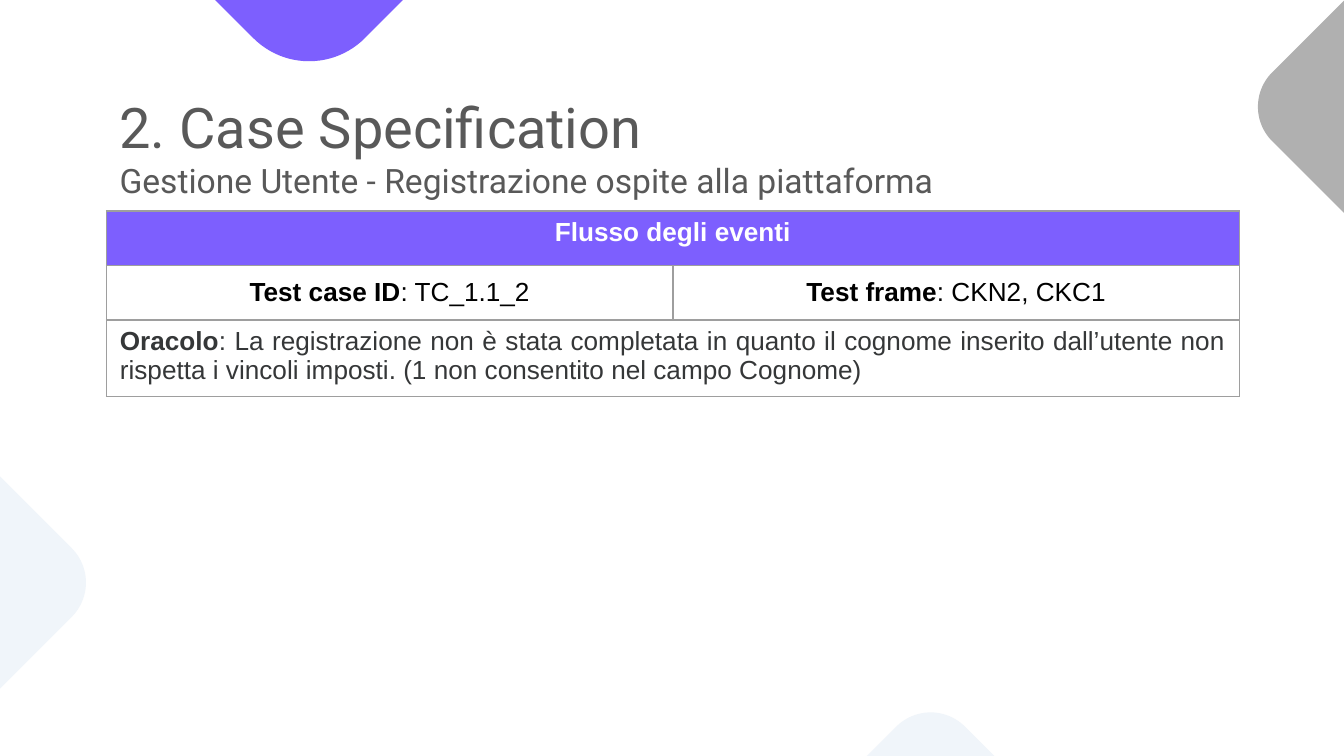
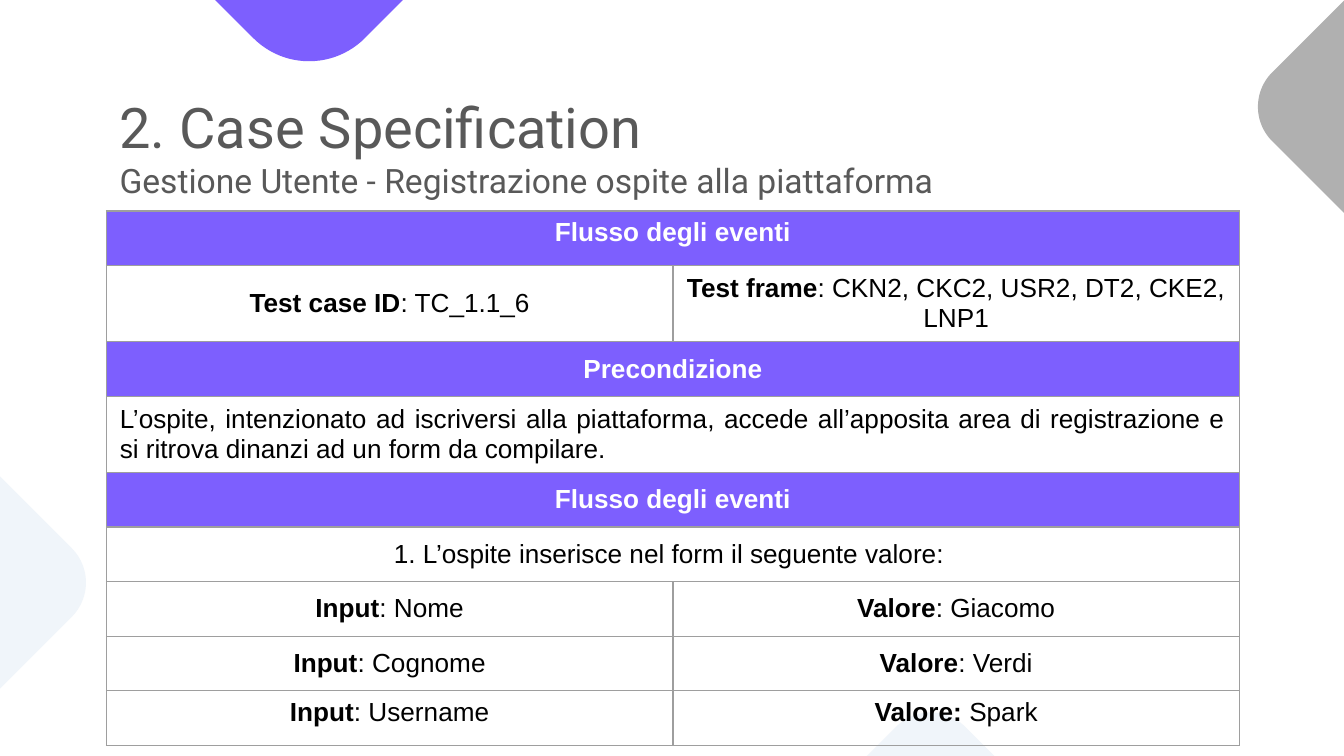
from dataclasses import dataclass

from lxml.etree import SubElement
from pptx import Presentation
from pptx.dml.color import RGBColor as RGB
from pptx.enum.shapes import MSO_SHAPE as Shape
from pptx.enum.text import MSO_ANCHOR as Anchor, PP_ALIGN as Align
from pptx.oxml.ns import qn
from pptx.util import Pt


@dataclass(frozen=True)
class Theme:
    violet: str = "7D5FFE"
    grey: str = "B0B0B0"
    pale: str = "F0F5FA"
    title: str = "595959"
    rule: str = "9E9E9E"
    white: str = "FFFFFF"
    black: str = "000000"
    dark: str = "353738"
    head: str = "Roboto"
    body: str = "Arial"
    big: float = 30
    mid: float = 18
    small: float = 14


T = Theme()
TITLE = "2. Case Speciﬁcation "
TOPIC = "Gestione Utente - Registrazione ospite alla piattaforma"

# Row: style, cells, and height if it differs. Text before "|" is bold.
FLOW = "Flusso degli eventi|"
CASES = [
    [
        ("band top", [FLOW]),
        ("", ["Test case ID|: TC_1.1_2", "Test frame|: CKN2, CKC1"]),
        ("dark just top", [
            "Oracolo|: La registrazione non è stata completata in quanto il "
            "cognome inserito dall’utente non rispetta i vincoli imposti. "
            "(1 non consentito nel campo Cognome)"], 19.5),
    ],
    [
        ("band top", [FLOW]),
        ("", ["Test case ID|: TC_1.1_6",
              "Test frame|: CKN2, CKC2, USR2, DT2, CKE2, \n|LNP1"]),
        ("band", ["Precondizione|"]),
        ("just", [
            "|L’ospite, intenzionato ad iscriversi alla piattaforma, accede "
            "all’apposita area di registrazione e si ritrova dinanzi ad un "
            "form da compilare."]),
        ("band", [FLOW]),
        ("", ["|1. L’ospite inserisce nel form il seguente valore: "]),
        ("", ["Input|: Nome", "Valore|: Giacomo"]),
        ("", ["Input|: Cognome", "Valore|: Verdi"]),
        ("top", ["Input|: Username", "Valore: |Spark"]),
    ],
]

# Tilted squares: centre x, centre y, side, colour
GEMS = [(165.6, -128.9, 253.4, T.violet), (773.6, 57.2, 156.2, T.grey),
        (-53.6, 312.1, 156.2, T.pale), (498.6, 481.3, 156.2, T.pale)]
WIDE, HIGH = 720, 405
LEFT, WIDTH = 57, 607
HEAD_Y, GRID_Y, ROW = 42.5, 113, 29.25


def write(para, text, size=T.small, face=T.body, color=T.black, bold=False):
    run = para.add_run()
    run.text = text
    font = run.font
    font.size, font.name, font.bold = Pt(size), face, bold
    font.color.rgb = RGB.from_string(color)


def paint(fill, color):
    fill.solid()
    fill.fore_color.rgb = RGB.from_string(color)


def gems(slide):
    for x, y, side, color in GEMS:
        gem = slide.shapes.add_shape(
            Shape.ROUNDED_RECTANGLE, Pt(x - side / 2), Pt(y - side / 2),
            Pt(side), Pt(side))
        gem.rotation = 315
        gem.shadow.inherit = False
        paint(gem.fill, color)
        gem.line.fill.background()


def title(slide):
    frame = slide.shapes.add_textbox(
        Pt(LEFT), Pt(HEAD_Y), Pt(WIDTH), Pt(GRID_Y - HEAD_Y)).text_frame
    frame.word_wrap = True
    frame.margin_left = frame.margin_right = Pt(7.2)
    frame.margin_top = frame.margin_bottom = Pt(7.2)
    para = frame.paragraphs[0]
    write(para, TITLE, size=T.big, face=T.head, color=T.title)
    para.add_line_break()
    write(para, TOPIC, size=T.mid, face=T.head, color=T.title)


def rule(cell):
    """Draw the four borders, which must precede the fill in the XML."""
    props = cell._tc.get_or_add_tcPr()
    for spot, side in enumerate("LRTB"):
        line = SubElement(props, qn(f"a:ln{side}"), w=str(Pt(0.75)))
        SubElement(SubElement(line, qn("a:solidFill")),
                   qn("a:srgbClr"), val=T.rule)
        props.insert(spot, line)


def fill_cell(cell, text, style):
    band = "band" in style
    color = T.white if band else T.dark if "dark" in style else T.black
    cell.vertical_anchor = Anchor.TOP if "top" in style else Anchor.MIDDLE
    frame = cell.text_frame
    for n, line in enumerate(text.split("\n")):
        para = frame.add_paragraph() if n else frame.paragraphs[0]
        para.alignment = Align.JUSTIFY if "just" in style else Align.CENTER
        for part, bold in zip(line.split("|"), (True, False)):
            if part:
                write(para, part, color=color, bold=bold)


def grid(slide, rows):
    table = slide.shapes.add_table(
        len(rows), 2, Pt(LEFT), Pt(GRID_Y), Pt(WIDTH),
        Pt(ROW * len(rows))).table
    table.first_row = table.horz_banding = False
    for r, (style, texts, *high) in enumerate(rows):
        table.rows[r].height = Pt(high[0] if high else ROW)
        pair = [table.cell(r, c) for c in range(2)]
        if len(texts) == 1:
            pair[0].merge(pair[1])
        for cell in pair:
            if "band" in style:
                paint(cell.fill, T.violet)
            else:
                cell.fill.background()
            rule(cell)
        for cell, text in zip(pair, texts):
            fill_cell(cell, text, style)


def main():
    deck = Presentation()
    deck.slide_width, deck.slide_height = Pt(WIDE), Pt(HIGH)
    for rows in CASES:
        slide = deck.slides.add_slide(deck.slide_layouts[6])
        paint(slide.background.fill, T.white)
        gems(slide)
        title(slide)
        grid(slide, rows)
    deck.save("out.pptx")


if __name__ == "__main__":
    main()
